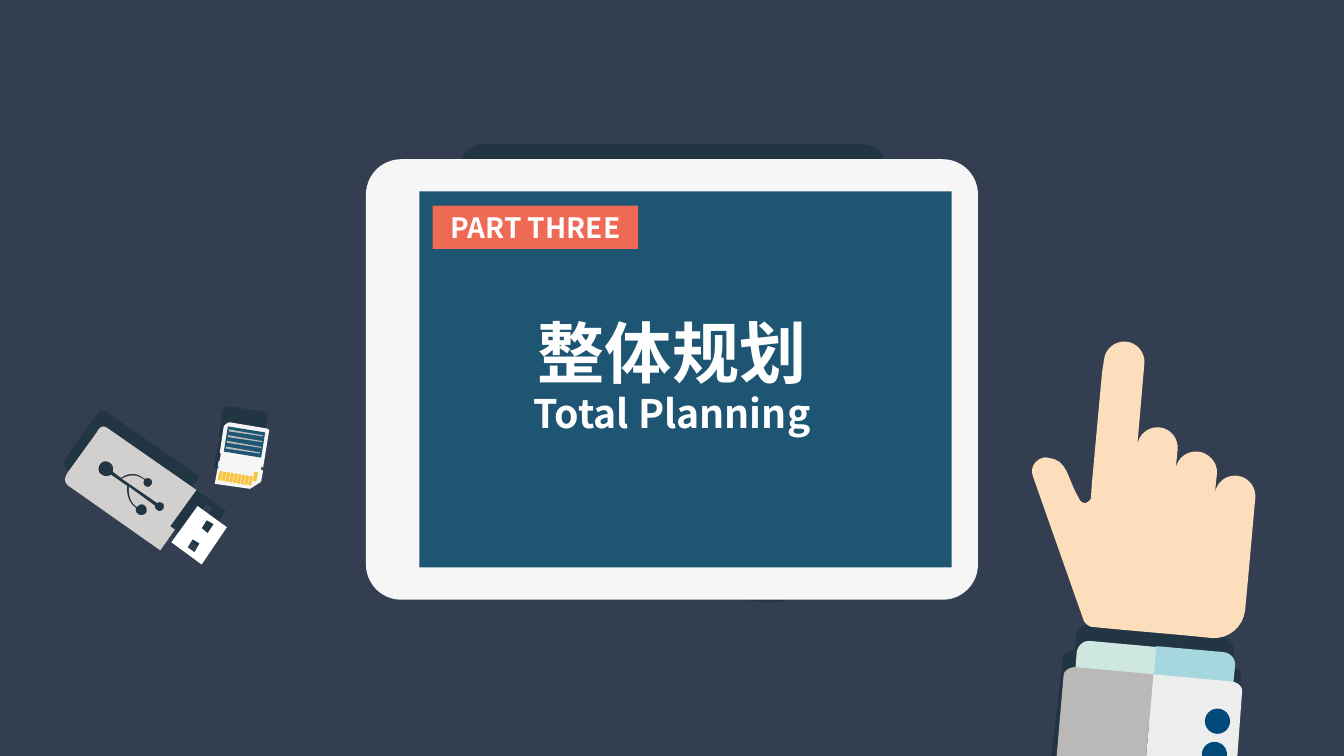
from lxml import etree
from pptx import Presentation
from pptx.dml.color import RGBColor
from pptx.enum.shapes import MSO_SHAPE
from pptx.enum.text import MSO_ANCHOR, MSO_AUTO_SIZE, PP_ALIGN
from pptx.oxml.ns import qn
from pptx.util import Inches, Pt

FONT = "Noto Sans CJK SC"
DARK, NAVY, PALE, GOLD = "223543", "1E5573", "F6F6F6", "F9C541"
SHADOW = (-0.01, -0.16)  # how far the dark shadows lie from their objects

# Outlines in inches: "/" parts contours, "," parts segments;
# two numbers make a line, six make a Bezier curve.
STICK = ("0.96 4.29, 0.67 4.69, 0.61 4.78 0.68 4.82 0.68 4.82, 1.59 5.46, 1.99 4.89, "
         "1.07 4.25, 1 4.19 0.96 4.29 0.96 4.29")
USB_SIGN = ("1.09 4.59, 1.12 4.61 1.13 4.65 1.12 4.68, 1.2 4.74, "
            "1.3 4.67 1.38 4.71 1.42 4.74, 1.43 4.74 1.43 4.75 1.44 4.75, "
            "1.45 4.74 1.48 4.74 1.49 4.75, 1.51 4.76 1.52 4.79 1.5 4.81, "
            "1.49 4.83 1.46 4.84 1.44 4.82, 1.42 4.81 1.42 4.78 1.43 4.76, "
            "1.4 4.74 1.32 4.68 1.21 4.75, 1.56 4.99, 1.57 4.98 1.59 4.98 1.61 4.99, "
            "1.63 5 1.63 5.03 1.62 5.05, 1.6 5.07 1.58 5.08 1.56 5.06, "
            "1.54 5.05 1.53 5.03 1.54 5.02, 1.28 4.83, 1.27 4.96 1.33 5.01 1.36 5.03, "
            "1.38 5 1.41 5 1.43 5.01, 1.46 5.03 1.46 5.06 1.45 5.09, "
            "1.43 5.11 1.39 5.12 1.37 5.1, 1.35 5.09 1.34 5.06 1.35 5.04, "
            "1.32 5.02 1.25 4.96 1.26 4.82, 1.1 4.71, 1.07 4.73 1.04 4.73 1.01 4.71, "
            "0.97 4.69 0.97 4.64 0.99 4.61, 1.01 4.57 1.06 4.57 1.09 4.59")
COLLAR = "1.11 4.35, 1.81 4.85, 1.52 5.26, 0.82 4.76"
PLUG = ("2.25 5.23, 1.96 5.02, 1.7 5.38, 2 5.6"
        "/1.93 5.48, 1.86 5.43, 1.91 5.35, 1.98 5.39"
        "/2.06 5.29, 2 5.24, 2.05 5.16, 2.12 5.2")
CARD = ("2.64 4.25, 2.64 4.25 2.67 4.26 2.67 4.27, 2.61 4.64, 2.59 4.63, 2.59 4.66, "
        "2.61 4.67, 2.59 4.78, 2.48 4.85, 2.13 4.8, 2.16 4.64, 2.17 4.64, 2.19 4.5, "
        "2.18 4.49, 2.22 4.23, 2.22 4.23 2.25 4.19 2.28 4.19")
CARD_NOTCH = "2.16 4.63, 2.17 4.57, 2.19 4.57, 2.18 4.63"
CARD_LABEL = "2.22 4.48, 2.26 4.23, 2.63 4.29, 2.59 4.54"
STRIPE = "2.24 4.43, 2.58 4.49, 2.58 4.5, 2.24 4.45"
CONTACT = "2.16 4.76, 2.18 4.67, 2.21 4.68, 2.19 4.77"
END_CONTACT = "2.51 4.77, 2.52 4.68, 2.56 4.69, 2.54 4.78"
TABLET_SHADOW = ("8.56 1.43, 4.79 1.43, 4.67 1.43 4.56 1.54 4.56 1.66, 4.56 4.24, "
                 "4.56 4.37 4.67 4.47 4.79 4.47, 5.9 4.47, 6.37 5.81, "
                 "6.39 5.84 6.42 5.86 6.46 5.87, 6.63 5.88 7.26 5.94 7.64 5.98, "
                 "7.81 5.99 7.96 5.87 7.97 5.7, 8.02 5.16 8.07 4.59 8.07 4.59, "
                 "8.08 4.54 8.07 4.5 8.05 4.47, 8.56 4.47, "
                 "8.69 4.47 8.79 4.37 8.79 4.24, 8.79 1.66, "
                 "8.79 1.54 8.69 1.43 8.56 1.43")
SLEEVE_SHADOW = ("10.67 6.31, 10.66 6.46, 10.59 6.46 10.54 6.49 10.54 6.54, 10.4 7.74, "
                 "10.69 7.77 11.03 7.65 11.33 7.66, 12.24 7.65, 12.31 6.7, "
                 "12.31 6.66 12.27 6.62 12.22 6.61, 12.24 6.46, "
                 "12.24 6.39 12.19 6.33 12.12 6.32, 10.81 6.2, "
                 "10.74 6.19 10.68 6.24 10.67 6.31")
CUFF_LEFT = ("11.48 6.42, 10.82 6.36, 10.75 6.35 10.69 6.4 10.68 6.47, 10.64 6.97, "
             "10.63 7.04 10.68 7.1 10.75 7.11, 11.41 7.17, 11.42 7")
CUFF_RIGHT = ("12.14 6.47, 11.47 6.41, 11.42 6.99, 11.41 7.17, 12.07 7.23, "
              "12.14 7.23 12.2 7.18 12.2 7.11, 12.25 6.61, "
              "12.26 6.54 12.21 6.48 12.14 6.47")
SLEEVE_RIGHT = ("12.2 6.76, 11.44 6.69, 11.34 7.81, 11.71 7.81, 12.25 7.8, 12.32 6.85, "
                "12.32 6.81 12.27 6.76 12.2 6.76")
SLEEVE_LEFT = ("11.44 6.69, 10.68 6.62, 10.62 6.61 10.56 6.65 10.55 6.69, 10.46 7.74, "
               "10.75 7.78 11.04 7.8 11.34 7.81")
HAND = ("12.27 4.72, 12.16 4.71 12.07 4.78 12.05 4.89, 12.07 4.7, "
        "12.08 4.59 11.99 4.49 11.88 4.48, 11.77 4.47 11.67 4.55 11.66 4.66, 11.68 4.46, "
        "11.69 4.35 11.61 4.25 11.5 4.24, 11.39 4.23 11.29 4.31 11.28 4.42, 11.35 3.61, "
        "11.36 3.5 11.28 3.4 11.17 3.39, 11.06 3.38 10.96 3.46 10.95 3.57, 10.93 3.7, "
        "10.83 4.79, 10.82 4.94, 10.82 4.96 10.79 4.98 10.77 4.99, "
        "10.74 4.99 10.72 4.98 10.71 4.96, 10.58 4.75 10.6 4.56 10.39 4.54, "
        "10.34 4.53 10.29 4.56 10.26 4.6, 10.23 4.64 10.23 4.69 10.25 4.74, 10.75 6.16, "
        "10.77 6.19 10.8 6.22 10.84 6.22, 11.01 6.24 11.64 6.29 12.02 6.33, "
        "12.19 6.34 12.33 6.22 12.35 6.05, 12.4 5.51 12.45 4.94 12.45 4.94, "
        "12.46 4.83 12.38 4.73 12.27 4.72")


def rgb(color):
    return RGBColor.from_string(color)


def paint(sp, color):
    sp.shadow.inherit = False
    sp.fill.solid()
    sp.fill.fore_color.rgb = rgb(color)
    sp.line.fill.background()
    return sp


def flatten(contour, offset, steps=8):
    """Turn one contour into points, with curves as short lines."""
    points = []
    for segment in contour.split(","):
        n = [float(v) for v in segment.split()]
        pairs = list(zip(n[::2], n[1::2]))
        if len(pairs) == 1:
            points += pairs
            continue
        a, (b, c, d) = points[-1], pairs
        for i in range(1, steps + 1):
            t = i / steps
            u = 1 - t
            points.append(tuple(u**3 * a[k] + 3 * u * u * t * b[k] + 3 * u * t * t * c[k]
                                + t**3 * d[k] for k in (0, 1)))
    return [(Inches(x + offset[0]), Inches(y + offset[1])) for x, y in points]


def outline(s, path, color, offset=(0, 0)):
    first, *holes = [flatten(contour, offset) for contour in path.split("/")]
    builder = s.shapes.build_freeform(*first[0], scale=1.0)
    builder.add_line_segments(first[1:], close=True)
    for hole in holes:
        builder.move_to(*hole[0])
        builder.add_line_segments(hole[1:], close=True)
    return paint(builder.convert_to_shape(), color)


def preset(s, kind, x, y, w, h, color):
    return paint(s.shapes.add_shape(kind, Inches(x), Inches(y), Inches(w), Inches(h)), color)


def write(sp, text, size, anchor=MSO_ANCHOR.TOP):
    tf = sp.text_frame
    tf.vertical_anchor = anchor
    p = tf.paragraphs[0]
    p.text = text
    p.alignment = PP_ALIGN.CENTER
    p.font.name, p.font.size, p.font.bold = FONT, Pt(size), True
    p.font.color.rgb = rgb("FFFFFF")
    for r in p.runs:  # East Asian characters take their own font setting
        etree.SubElement(r.font._element, qn("a:ea")).set("typeface", FONT)
    return tf


def heading(sp, text, size, x, y, w, h):
    sp.left, sp.top, sp.width, sp.height = Inches(x), Inches(y), Inches(w), Inches(h)
    tf = write(sp, text, size)
    tf.word_wrap = False
    tf.auto_size = MSO_AUTO_SIZE.SHAPE_TO_FIT_TEXT


def draw_usb_and_card(s):
    outline(s, STICK, DARK, SHADOW)
    outline(s, COLLAR, DARK)
    outline(s, STICK + "/" + USB_SIGN, "D1D0CE")
    outline(s, PLUG, DARK, SHADOW)
    outline(s, CARD, DARK, SHADOW)
    outline(s, PLUG, "FFFFFF")
    outline(s, CARD_NOTCH, "EBF6FB")
    outline(s, CARD, PALE)
    outline(s, END_CONTACT, GOLD)
    for i in range(9):
        outline(s, CONTACT, GOLD, (0.3 * i / 8, 0.05 * i / 8))
    outline(s, CARD_LABEL, NAVY)
    for i in range(4):
        outline(s, STRIPE, "BBBAB7", (0.01 * i, -0.17 * i / 3))


def draw_tablet(s):
    outline(s, TABLET_SHADOW, DARK)
    body = preset(s, MSO_SHAPE.ROUNDED_RECTANGLE, 3.63, 1.58, 6.07, 4.37, PALE)
    body.adjustments[0] = 0.08
    preset(s, MSO_SHAPE.RECTANGLE, 4.16, 1.9, 5.28, 3.73, NAVY)


def draw_hand(s):
    for path, color in ((SLEEVE_SHADOW, DARK), (CUFF_LEFT, "CEE7E1"), (CUFF_RIGHT, "A7D7DE"),
                        (SLEEVE_RIGHT, "ECEEED"), (SLEEVE_LEFT, "BAB9B7"), (HAND, "FCDDBC")):
        outline(s, path, color)
    for x, y in ((11.95, 7.03), (11.92, 7.36)):
        preset(s, MSO_SHAPE.OVAL, x, y, 0.25, 0.25, "004978")


def main():
    prs = Presentation()
    prs.slide_width, prs.slide_height = Inches(13.33), Inches(7.5)
    s = prs.slides.add_slide(prs.slide_layouts[5])
    s.background.fill.solid()
    s.background.fill.fore_color.rgb = rgb("333F50")

    # Illustration
    draw_usb_and_card(s)
    draw_tablet(s)
    draw_hand(s)

    # Text on the screen; the title moves in front of the tablet
    title = s.shapes.title
    title.element.getparent().append(title.element)
    heading(title, "整体规划", 48, 5.22, 3.04, 2.89, 0.91)
    subtitle = s.shapes.add_textbox(0, 0, 0, 0)
    heading(subtitle, "Total Planning", 28, 5.15, 3.81, 3.03, 0.57)
    label = preset(s, MSO_SHAPE.RECTANGLE, 4.29, 2.04, 2.04, 0.43, "EF6A54")
    write(label, "PART THREE", 20, MSO_ANCHOR.MIDDLE)

    prs.save("out.pptx")


if __name__ == "__main__":
    main()
